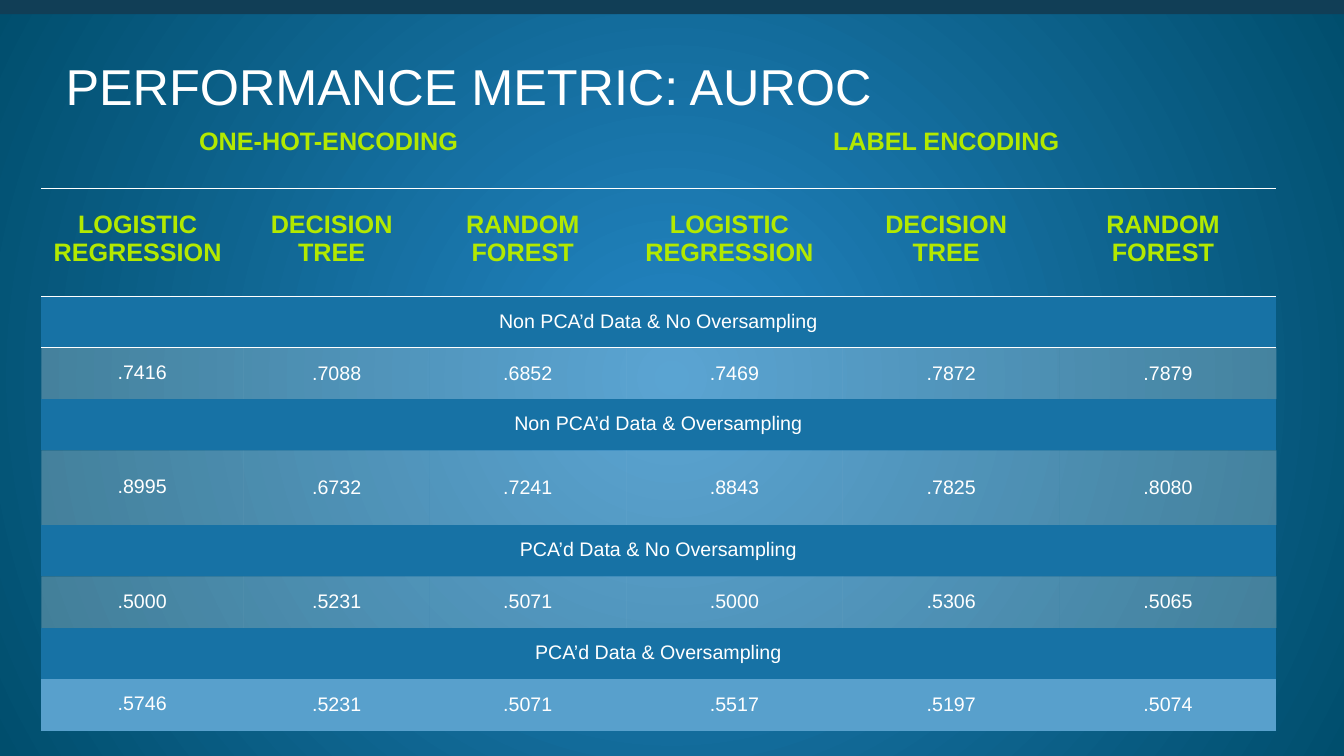
from lxml import etree
from pptx import Presentation
from pptx.dml.color import RGBColor
from pptx.enum import shapes, text
from pptx.oxml import parse_xml
from pptx.oxml.ns import qn
from pptx.util import Inches, Pt

TITLE = "PERFORMANCE METRIC: AUROC"
ENCODINGS = ["ONE-HOT-ENCODING", "LABEL ENCODING"]
MODELS = ["LOGISTIC REGRESSION", "DECISION TREE", "RANDOM FOREST"]
RESULTS = [
    ("Non PCA’d Data & No Oversampling", [".7416", ".7088", ".6852", ".7469", ".7872", ".7879"]),
    ("Non PCA’d Data & Oversampling", [".8995", ".6732", ".7241", ".8843", ".7825", ".8080"]),
    ("PCA’d Data & No Oversampling", [".5000", ".5231", ".5071", ".5000", ".5306", ".5065"]),
    ("PCA’d Data & Oversampling", [".5746", ".5231", ".5071", ".5517", ".5197", ".5074"]),
]
WIDTHS = [2.01, 1.84, 1.95, 2.15, 2.15, 2.15]
HEIGHTS = [0.86, 1.07, 0.51, 0.51, 0.51, 0.74, 0.51, 0.51, 0.51, 0.51]
BARS = [(0.04, "B3E900"), (0.14, "113E56")]
WHITE, LIME, BAND, LAST = "FFFFFF", "B3E900", "1772A5", "58A0CC"
HEADER_INSETS = (0.06, 0, 0.16, 0.07)
FIRST_INSETS = (0.06, 0, 0.07, 0)
VALUE_INSETS = (0, 0, 0, 0)
NO_GRID = "{2D5ABB26-0587-4C30-8999-92F81FD0307C}"
DRAWING = "http://schemas.openxmlformats.org/drawingml/2006/main"
GRADIENT = f"""<a:gradFill xmlns:a="{DRAWING}" rotWithShape="1"><a:gsLst>
<a:gs pos="0"><a:srgbClr val="2486C4"/></a:gs><a:gs pos="100000"><a:srgbClr val="004E6D"/></a:gs>
</a:gsLst><a:path path="circle"><a:fillToRect l="50000" t="50000" r="50000" b="50000"/></a:path></a:gradFill>"""


def paint(fill, color):
    fill.solid()
    fill.fore_color.rgb = RGBColor.from_string(color)


def style(para, size, color, bold=False):
    for span in para.runs:
        span.font.name = "Arial"
        span.font.size = Pt(size)
        span.font.bold = bold
        span.font.color.rgb = RGBColor.from_string(color)


def set_insets(holder, insets):
    sides = ("margin_left", "margin_top", "margin_right", "margin_bottom")
    for side, inset in zip(sides, insets):
        setattr(holder, side, Inches(inset))


def write(cell, words, size, color, insets, bold=False, spacing=None):
    cell.text_frame.text = words
    cell.vertical_anchor = text.MSO_ANCHOR.MIDDLE
    set_insets(cell, insets)
    para = cell.text_frame.paragraphs[0]
    para.alignment = text.PP_ALIGN.CENTER
    para.line_spacing = spacing
    style(para, size, color, bold)


def rule(cell, side):
    line = parse_xml(
        f'<a:{side} xmlns:a="{DRAWING}" w="6350"><a:solidFill>'
        f'<a:srgbClr val="{WHITE}"/></a:solidFill></a:{side}>')
    cell._tc.get_or_add_tcPr().insert(0, line)


def fade(cell, percent):
    color = cell._tc.tcPr.find(qn("a:solidFill")).find(qn("a:srgbClr"))
    etree.SubElement(color, qn("a:alpha")).set("val", str(percent * 1000))


deck = Presentation()
deck.slide_width, deck.slide_height = Inches(13.33), Inches(7.5)
page = deck.slides.add_slide(deck.slide_layouts[6])
page.background.fill.gradient()
backdrop = page._element.cSld.bg.bgPr
backdrop.replace(backdrop.find(qn("a:gradFill")), parse_xml(GRADIENT))

for height, color in BARS:
    bar = page.shapes.add_shape(
        shapes.MSO_SHAPE.RECTANGLE, 0, 0, deck.slide_width, Inches(height))
    bar.shadow.inherit = False
    paint(bar.fill, color)
    bar.line.fill.background()

box = page.shapes.add_textbox(Inches(0.65), Inches(0.66), Inches(12.01), Inches(0.71))
frame = box.text_frame
frame.word_wrap = True
set_insets(frame, VALUE_INSETS)
frame.text = TITLE
frame.paragraphs[0].line_spacing = 0.8
style(frame.paragraphs[0], 36, WHITE)

holder = page.shapes.add_table(
    len(HEIGHTS), len(WIDTHS), Inches(0.41), Inches(1.01),
    Inches(sum(WIDTHS)), Inches(sum(HEIGHTS)))
table = holder.table
table.first_row = table.horz_banding = False
table._tbl.tblPr.find(qn("a:tableStyleId")).text = NO_GRID
for column, width in zip(table.columns, WIDTHS):
    column.width = Inches(width)
for row, height in zip(table.rows, HEIGHTS):
    row.height = Inches(height)

for index, encoding in enumerate(ENCODINGS):
    start = index * len(MODELS)
    table.cell(0, start).merge(table.cell(0, start + len(MODELS) - 1))
    write(table.cell(0, start), encoding, 18, LIME, HEADER_INSETS, bold=True)
for col, model in enumerate(MODELS * len(ENCODINGS)):
    write(table.cell(1, col), model, 18, LIME, HEADER_INSETS, bold=True)

for index, (label, scores) in enumerate(RESULTS):
    top = 2 + 2 * index
    band = table.cell(top, 0)
    band.merge(table.cell(top, len(WIDTHS) - 1))
    write(band, label, 14, WHITE, FIRST_INSETS, spacing=0.9 if index else None)
    paint(band.fill, BAND)
    for col, score in enumerate(scores):
        cell = table.cell(top + 1, col)
        write(cell, score, 14, WHITE, VALUE_INSETS if col else FIRST_INSETS,
              spacing=None if col else 0.9)
        if index == len(RESULTS) - 1:
            paint(cell.fill, LAST)
        else:
            paint(cell.fill, WHITE)
            fade(cell, 25)

for col in range(len(WIDTHS)):
    for row, side in [(0, "lnB"), (1, "lnB"), (1, "lnT"), (2, "lnT")]:
        rule(table.cell(row, col), side)

deck.save("out.pptx")
